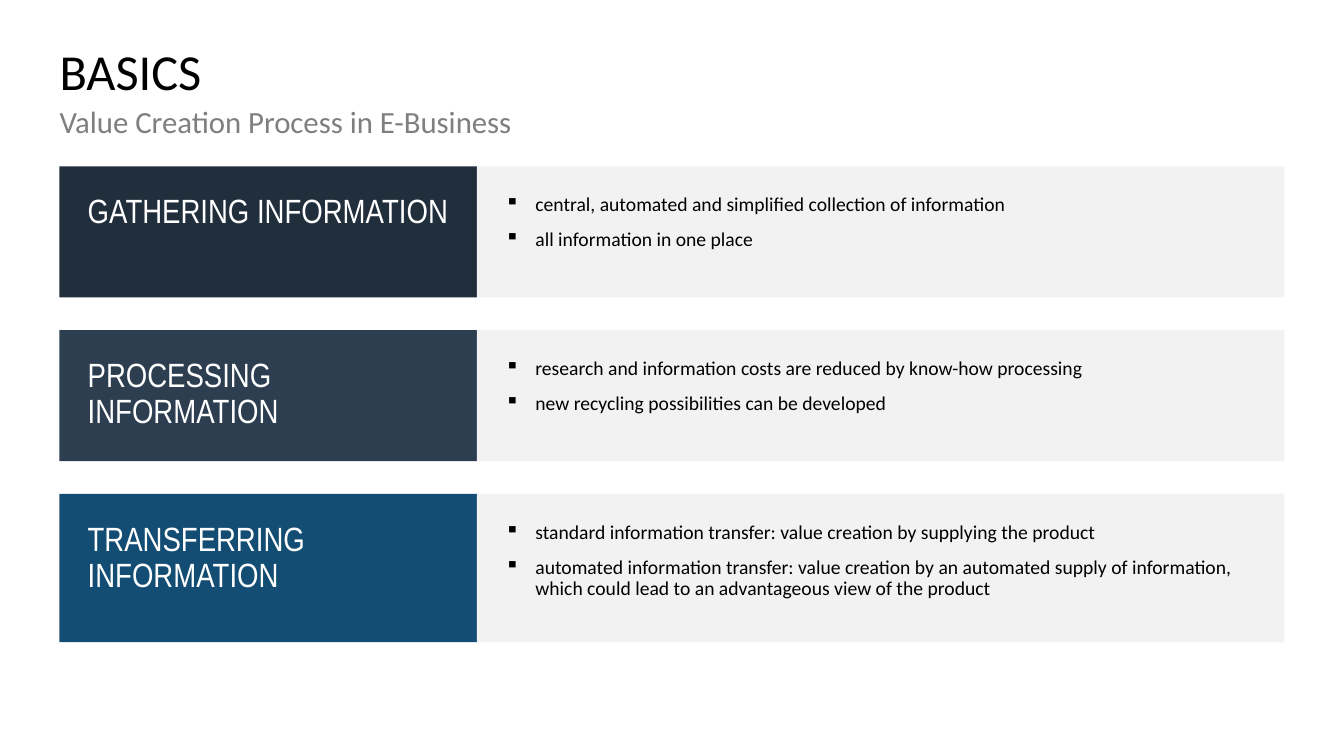
from lxml import etree
from pptx import Presentation, util as u
from pptx.dml.color import RGBColor
from pptx.enum import shapes, text
from pptx.oxml.ns import qn

COLORS = {"title": "000000", "subtitle": "7F7F7F", "heading": "FFFFFF",
          "points": "000000", "panel": "F2F2F2"}

# Grid
LEFT, TOP = 0.59, 1.65
HEADING_WIDTH, PANEL_WIDTH = 4.14, 8.01
ROW_HEIGHT, LAST_ROW_HEIGHT = 1.3, 1.47
ROW_PITCH = ROW_HEIGHT * 1.25
PADDING, INDENT = 0.28, 0.3

STEPS = [
    ("GATHERING INFORMATION", "212E3C",
     ["central, automated and simplified collection of information",
      "all information in one place"]),
    ("PROCESSING INFORMATION", "2C3E50",
     ["research and information costs are reduced by know-how processing",
      "new recycling possibilities can be developed"]),
    ("TRANSFERRING INFORMATION", "144D73",
     ["standard information transfer: value creation by supplying the product",
      "automated information transfer: value creation by an automated supply of "
      "information, which could lead to an advantageous view of the product"]),
]

deck = Presentation()
deck.slide_width, deck.slide_height = u.Inches(13.33), u.Inches(7.5)
slide = deck.slides.add_slide(deck.slide_layouts[6])


def write(holder, lines, size, color, font="Calibri", padding=0, bullet=None, after=10):
    frame = holder.text_frame
    frame.word_wrap = True
    frame.vertical_anchor = text.MSO_ANCHOR.TOP
    frame.margin_left = frame.margin_right = u.Inches(padding)
    frame.margin_top = frame.margin_bottom = u.Inches(padding)
    frame.text = "\n".join(lines)
    for paragraph in frame.paragraphs:
        paragraph.alignment = text.PP_ALIGN.LEFT
        paragraph.line_spacing = 0.9
        paragraph.space_after = u.Pt(after)
        if bullet:
            props = paragraph._p.get_or_add_pPr()
            props.set("marL", str(u.Inches(INDENT)))
            props.set("indent", str(-u.Inches(INDENT)))
            etree.SubElement(props, qn("a:buChar")).set("char", bullet)
        for run in paragraph.runs:
            run.font.size = u.Pt(size)
            run.font.name = font
            run.font.color.rgb = RGBColor.from_string(color)


def add_block(left, top, width, height, fill):
    block = slide.shapes.add_shape(shapes.MSO_SHAPE.RECTANGLE, u.Inches(left),
                                   u.Inches(top), u.Inches(width), u.Inches(height))
    block.shadow.inherit = False
    block.fill.solid()
    block.fill.fore_color.rgb = RGBColor.from_string(fill)
    block.line.fill.background()
    return block


# Title and subtitle
content_width = u.Inches(HEADING_WIDTH + PANEL_WIDTH)
title = slide.shapes.add_textbox(u.Inches(LEFT), u.Inches(0.47),
                                 content_width, u.Inches(0.59))
write(title, ["BASICS"], 36, COLORS["title"], after=0)
subtitle = slide.shapes.add_textbox(u.Inches(LEFT), u.Inches(1.06),
                                    content_width, u.Inches(0.59))
write(subtitle, ["Value Creation Process in E-Business"], 22, COLORS["subtitle"])

# One row per step: heading on the left, points on the right
for row, (name, fill, points) in enumerate(STEPS):
    top = TOP + row * ROW_PITCH
    height = LAST_ROW_HEIGHT if row == len(STEPS) - 1 else ROW_HEIGHT
    heading = add_block(LEFT, top, HEADING_WIDTH, height, fill)
    write(heading, [name], 24, COLORS["heading"], "Arial Narrow", PADDING)
    panel = add_block(LEFT + HEADING_WIDTH, top, PANEL_WIDTH, height, COLORS["panel"])
    write(panel, points, 14, COLORS["points"], padding=PADDING, bullet="▪")

deck.save("out.pptx")
